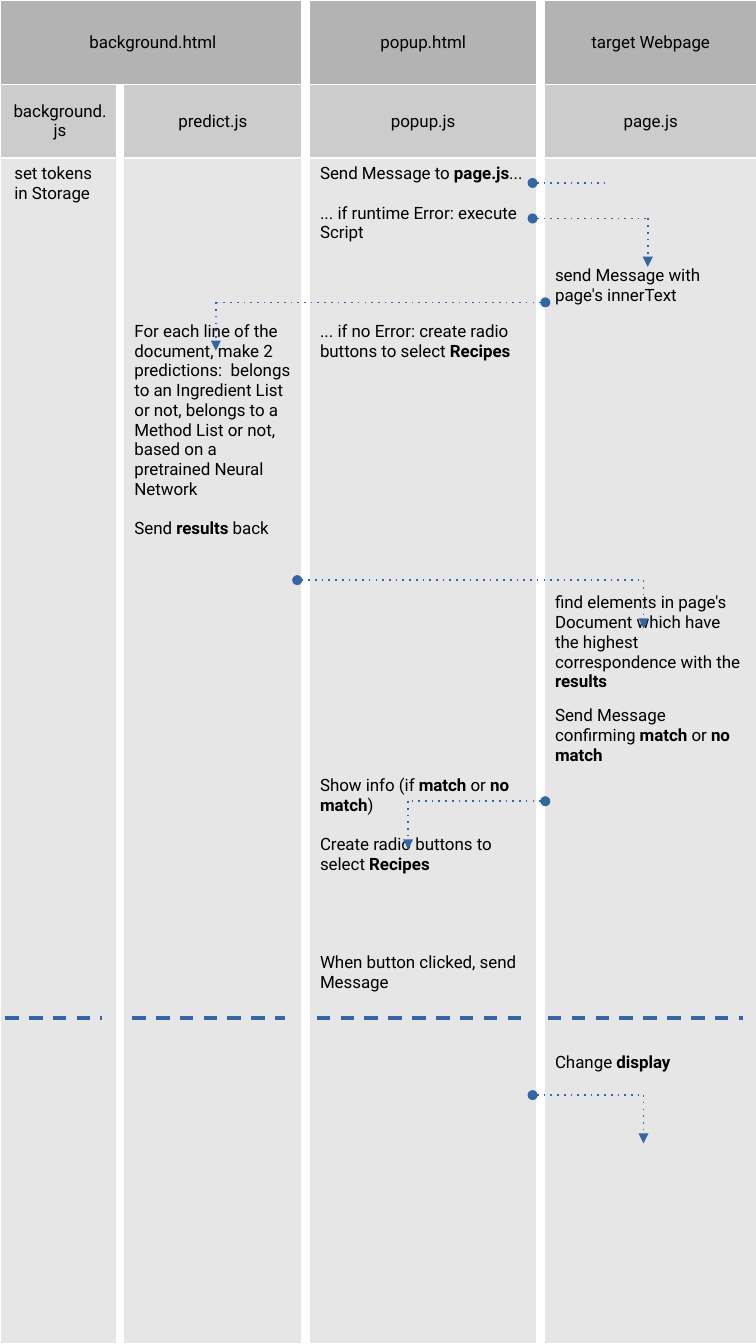
"""Build a message flow chart across the scripts of a browser extension."""
from dataclasses import dataclass

from lxml.etree import SubElement
from pptx import Presentation
from pptx.dml.color import RGBColor
from pptx.enum.shapes import MSO_CONNECTOR
from pptx.enum.text import MSO_ANCHOR, PP_ALIGN
from pptx.oxml.ns import qn
from pptx.util import Pt


@dataclass(frozen=True)
class Theme:
    font: str = "Roboto"
    size: float = 10
    line_height: float = 11.65
    text: str = "000000"
    border: str = "FFFFFF"
    page_fill: str = "B3B3B3"
    script_fill: str = "CCCCCC"
    step_fill: str = "E6E6E6"
    flow: str = "3465A4"


theme = Theme()
WIDE_BORDER, THIN_BORDER = 5.67, 1.13
COLUMN_WIDTHS = [70.9, 109.6, 138.8, 129.9]
ROW_HEIGHTS = [50, 43.2, 700.4]
FILLS = [theme.page_fill, theme.script_fill, theme.step_fill]
HEADERS = [
    ["background.html", "", "popup.html", "target Webpage"],
    ["background.js", "predict.js", "popup.js", "page.js"],
]
PARAGRAPH_GAPS = [0, 0, 0, 8.5]
STEPS = [
    [(0, "set tokens in Storage")],
    [
        (8, "For each line of the document, make 2 predictions:  belongs to an "
            "Ingredient List or not, belongs to a Method List or not, based on a "
            "pretrained Neural Network"),
        (1, "Send **results** back"),
    ],
    [
        (0, "Send Message to **page.js**..."),
        (1, "... if runtime Error: execute Script"),
        (4, "... if no Error: create radio buttons to select **Recipes**"),
        (21, "Show info (if **match** or **no match**)"),
        (1, "Create radio buttons to select **Recipes**"),
        (4, "When button clicked, send Message"),
    ],
    [
        (3, "send Message with page's innerText"),
        (8, "find elements in page's Document which have the highest "
            "correspondence with the **results**"),
        (0, "Send Message confirming **match **or **no match**"),
        (8, "Change **display**"),
    ],
]
ARROW_DROP = 28.5
MESSAGES = [
    (322, 127.5, 178.5, True),
    (314.5, 357, 108, False),
    (314.5, 382.5, 129, True),
    (175.5, 380, 342.5, True),
    (322, 241, 473, True),
    (314.5, 380, 646.5, True),
]
DIVIDER_TOP = 601
DIVIDERS = [(3, 60), (78, 168.5), (187, 309), (323.5, 439)]


def write(paragraph, text):
    for position, part in enumerate(text.split("**")):
        if part:
            run = paragraph.add_run()
            run.text = part
            run.font.name = theme.font
            run.font.size = Pt(theme.size)
            run.font.bold = position % 2 == 1
            run.font.color.rgb = RGBColor.from_string(theme.text)


def draw_line(start, end, width, dash, **ends):
    connector = slide.shapes.add_connector(
        MSO_CONNECTOR.STRAIGHT, *(Pt(value) for value in start + end))
    connector.line.width = Pt(width)
    connector.line.color.rgb = RGBColor.from_string(theme.flow)
    properties = connector._element.spPr
    line = properties.find(qn("a:ln"))
    SubElement(line, qn("a:prstDash"), val=dash)
    for tag, kind in ends.items():
        SubElement(line, qn(f"a:{tag}"), type=kind)
    SubElement(properties, qn("a:effectLst"))


presentation = Presentation()
presentation.slide_width, presentation.slide_height = Pt(446.4), Pt(793.44)
slide = presentation.slides.add_slide(presentation.slide_layouts[6])

table = slide.shapes.add_table(
    len(ROW_HEIGHTS), len(COLUMN_WIDTHS), Pt(0), Pt(0),
    Pt(sum(COLUMN_WIDTHS)), Pt(sum(ROW_HEIGHTS))).table
table.first_row = table.horz_banding = False
for column, width in zip(table.columns, COLUMN_WIDTHS):
    column.width = Pt(width)

for row_index, height in enumerate(ROW_HEIGHTS):
    table.rows[row_index].height = Pt(height)
    for column_index in range(len(COLUMN_WIDTHS)):
        cell = table.cell(row_index, column_index)
        properties = cell._tc.get_or_add_tcPr()
        borders = {
            "lnL": WIDE_BORDER if column_index else THIN_BORDER,
            "lnR": WIDE_BORDER if column_index < 3 else THIN_BORDER,
            "lnT": THIN_BORDER,
            "lnB": THIN_BORDER,
        }
        for tag, width in borders.items():
            border = SubElement(properties, qn(f"a:{tag}"), w=str(Pt(width)))
            fill = SubElement(border, qn("a:solidFill"))
            SubElement(fill, qn("a:srgbClr"), val=theme.border)
        cell.fill.solid()
        cell.fill.fore_color.rgb = RGBColor.from_string(FILLS[row_index])
        cell.margin_top = cell.margin_bottom = Pt(3.6)
        paragraph = cell.text_frame.paragraphs[0]
        if row_index < len(HEADERS):
            cell.margin_left = cell.margin_right = Pt(7.2)
            cell.vertical_anchor = MSO_ANCHOR.MIDDLE
            paragraph.alignment = PP_ALIGN.CENTER
            write(paragraph, HEADERS[row_index][column_index])
            continue
        cell.margin_left = cell.margin_right = Pt(8.5)
        cell.vertical_anchor = MSO_ANCHOR.TOP
        gap = PARAGRAPH_GAPS[column_index]
        for step_index, (lines_above, text) in enumerate(STEPS[column_index]):
            space = lines_above * (theme.line_height + gap)
            if step_index:
                paragraph = cell.text_frame.add_paragraph()
                paragraph.space_before = Pt(space + gap)
            else:
                cell.margin_top = Pt(3.6 + space)
            write(paragraph, text)

table.cell(0, 0).merge(table.cell(0, 1))

for sender, receiver, top, has_arrow in MESSAGES:
    draw_line((sender, top), (receiver, top), 1, "dot", headEnd="oval")
    if has_arrow:
        draw_line((receiver, top), (receiver, top + ARROW_DROP), 1, "dot",
                  tailEnd="triangle")

for left, right in DIVIDERS:
    draw_line((left, DIVIDER_TOP), (right, DIVIDER_TOP), 0, "dash")

presentation.save("out.pptx")
